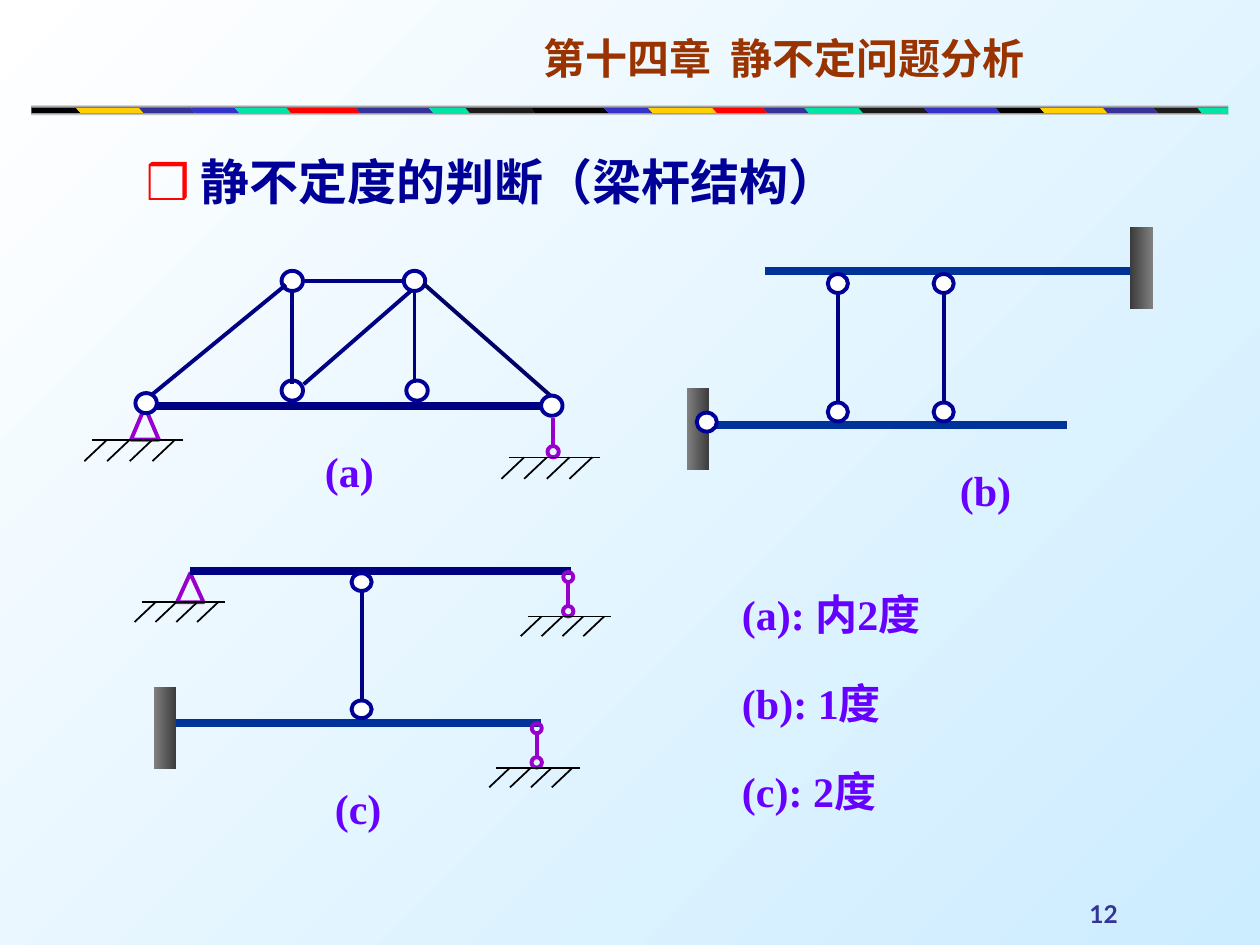
from lxml import etree
from pptx import Presentation
from pptx import util as u
from pptx.dml.color import RGBColor
from pptx.enum import shapes, text
from pptx.oxml.ns import qn

COLS, ROWS = 100, 75
CELL = u.Inches(10) // COLS  # one square grid cell

CJK, LATIN = "Noto Sans CJK SC", "Times New Roman"
NAVY, JOINT, BEAM, INDIGO = "000082", "000099", "003399", "333399"
PURPLE, LABEL, BLACK, WHITE = "9900CC", "6600FF", "000000", "FFFFFF"
THIN, MEDIUM, THICK = 1, 2.25, 4.5


def rgb(value):
    return RGBColor.from_string(value)


class Board:
    """Style and current slide; every length is in grid cells."""

    def __init__(self, prs):
        self.s = prs.slides.add_slide(prs.slide_layouts[5])

    def box(self, *cells):
        return [u.Emu(round(c * CELL)) for c in cells]

    def gradient(self, fill, start, end, angle):
        fill.gradient()
        fill.gradient_angle = angle
        for stop, colour in zip(fill.gradient_stops, (start, end)):
            stop.color.rgb = rgb(colour)

    def finish(self, sp, fill=None, line=None):
        sp.shadow.inherit = False
        if isinstance(fill, tuple):
            self.gradient(sp.fill, *fill)
        elif fill:
            sp.fill.solid()
            sp.fill.fore_color.rgb = rgb(fill)
        else:
            sp.fill.background()
        if line:
            sp.line.color.rgb = rgb(line)
            sp.line.width = u.Pt(MEDIUM)
        else:
            sp.line.fill.background()

    def shape(self, kind, x, y, w, h, fill=None, line=None):
        sp = self.s.shapes.add_shape(kind, *self.box(x, y, w, h))
        self.finish(sp, fill, line)

    def polygon(self, points, fill):
        first, *rest = [self.box(*pt) for pt in points]
        fb = self.s.shapes.build_freeform(*first, scale=1.0)
        fb.add_line_segments(rest, close=True)
        self.finish(fb.convert_to_shape(), fill)

    def line(self, x1, y1, x2, y2, colour=NAVY, width=MEDIUM):
        c = self.s.shapes.add_connector(
            shapes.MSO_CONNECTOR.STRAIGHT, *self.box(x1, y1, x2, y2))
        c.line.color.rgb = rgb(colour)
        c.line.width = u.Pt(width)
        etree.SubElement(c._element.spPr, qn("a:effectLst"))

    def add_runs(self, sp, runs, align=text.PP_ALIGN.LEFT, anchor=text.MSO_ANCHOR.TOP):
        tf = sp.text_frame
        tf.word_wrap = True
        tf.auto_size = text.MSO_AUTO_SIZE.NONE
        tf.vertical_anchor = anchor
        p = tf.paragraphs[0]
        p.alignment = align
        for words, size, font, colour, *spacing in runs:
            r = p.add_run()
            r.text = words
            r.font.size, r.font.bold, r.font.name = u.Pt(size), True, font
            r.font.color.rgb = rgb(colour)
            rpr = r._r.get_or_add_rPr()
            etree.SubElement(rpr, qn("a:ea")).set("typeface", CJK)
            if spacing:
                rpr.set("spc", str(spacing[0]))

    def text(self, x, y, w, h, runs, **layout):
        self.add_runs(self.s.shapes.add_textbox(*self.box(x, y, w, h)), runs, **layout)

    def label(self, x, y, words, w=8.7):
        self.text(x, y, w, 5, [(words, 24, LATIN, LABEL)])

    def title(self, x, y, w, h, runs):
        sp = self.s.shapes.title
        sp.left, sp.top, sp.width, sp.height = self.box(x, y, w, h)
        self.add_runs(sp, runs)

    # Structural symbols
    def joint(self, cx, cy, w=1.6, h=1.5, fill=WHITE, line=JOINT):
        self.shape(shapes.MSO_SHAPE.OVAL, cx - w / 2, cy - h / 2, w, h, fill, line)

    def wall(self, x, y, shades=("3B3B3B", "808080")):
        self.shape(shapes.MSO_SHAPE.RECTANGLE, x, y, 1.8, 6.5, (*shades, 180))

    def ground(self, x, y, scale):
        self.line(x, y, x + 7.2 * scale, y, BLACK, THIN)
        step = 1.8 * scale
        for i in range(4):
            top = x + 1.2 * scale + i * step
            self.line(top, y, top - step, y + 1.7 * scale, BLACK, THIN)

    def pin(self, cx, y, w, h, scale):
        self.shape(shapes.MSO_SHAPE.ISOSCELES_TRIANGLE, cx - w / 2, y, w, h, line=PURPLE)
        self.ground(cx - 4.2 * scale, y + h, scale)

    def roller(self, cx, y, length, scale):
        d = 0.9 * scale
        self.line(cx, y, cx, y + length, PURPLE)
        self.joint(cx, y + length + d / 2, d, d, None, PURPLE)
        self.ground(cx - 3.5 * scale, y + length + d, scale)


def rope(b):
    """Coloured strip under the title, between two grey bars."""
    green, red, blue, gold, dark = "00E4A8", "FF0000", "3333CC", "FFCF01", "1C1C1C"
    bands = [(6.2, BLACK), (11.2, gold), (15.3, INDIGO), (18.8, blue), (22.9, green),
             (28.4, red), (34.2, INDIGO), (37.1, green), (42.3, dark), (48.1, BLACK),
             (51.6, blue), (56.7, gold), (60.7, red), (64, INDIGO), (68.3, green),
             (73.5, dark), (79.2, blue), (82.7, BLACK), (87.7, gold), (91.7, INDIGO),
             (95.2, dark), (97.5, green)]
    start, end, top, bottom, slant = 2.5, 97.5, 8.4, 9.1, 0.3
    left = start
    for right, colour in bands:
        a = 0 if left == start else slant
        z = 0 if right == end else slant
        b.polygon([(left - a, top), (right - z, top), (right + z, bottom),
                   (left + a, bottom)], colour)
        left = right
    for y, shades in ((8.3, (WHITE, "767676")), (8.95, ("767676", WHITE))):
        b.shape(shapes.MSO_SHAPE.RECTANGLE, start, y, end - start, 0.25, (*shades, 270))


def truss(b):
    b.roller(43.9, 33.2, 2.2, 1)
    b.pin(11.5, 32.3, 2.2, 2.6, 1)
    b.line(11.5, 32.2, 44.1, 32.2, NAVY, THICK)
    for cx, cy in ((23.2, 31), (33.1, 31), (23.2, 22.3), (32.9, 22.3)):
        b.joint(cx, cy, 1.7, 1.6)
    for bar in ((11.6, 31.7, 22.7, 22.6), (23.2, 23.1, 23.2, 30.5),
                (32.9, 23, 32.9, 30.4), (24.2, 22.3, 31.9, 22.3),
                (33.6, 22.5, 43.8, 31.5, "000064"), (24.1, 30.5, 32.6, 23.1)):
        b.line(*bar)
    for cx, cy in ((11.6, 32), (43.8, 32.2)):
        b.joint(cx, cy, 1.7, 1.6)
    b.label(24.8, 34.9, "(a)")


def twin_beams(b):
    b.line(55.5, 33.7, 84.7, 33.7, BEAM, THICK)
    b.wall(54.5, 30.8)
    b.line(89.9, 21.5, 60.7, 21.5, BEAM, THICK)
    b.wall(89.7, 18, ("808080", "3B3B3B"))
    for cx in (66.5, 74.9):
        b.joint(cx, 22.5)
        b.joint(cx, 32.7)
        b.line(cx, 23.2, cx, 31.9)
    b.joint(56.1, 33.5)
    b.label(75.2, 36.4, "(b)")


def linked_beams(b):
    scale = 0.92
    b.roller(45.1, 46.2, 1.9, scale)
    b.pin(15.1, 45.5, 2.1, 2.3, scale)
    b.line(15.1, 45.3, 45.3, 45.3, NAVY, THICK)
    b.line(13.8, 57.4, 42.9, 57.4, BEAM, THICK)
    b.wall(12.2, 54.5)
    b.roller(42.6, 58.2, 1.9, scale)
    for cx, cy in ((45.1, 45.8), (42.6, 57.8)):
        b.joint(cx, cy, 0.8, 0.8, None, PURPLE)
    for cy in (56.3, 46.2):
        b.joint(28.7, cy, 1.6, 1.4)
    b.line(28.7, 47, 28.7, 55.6)
    b.label(25.6, 61.6, "(c)")


def main():
    prs = Presentation()
    prs.slide_width, prs.slide_height = COLS * CELL, ROWS * CELL
    b = Board(prs)
    b.gradient(b.s.background.fill, "CCECFF", WHITE, 135)

    # Heading and strip
    brown = "993300"
    b.title(42.1, 2.1, 47.3, 5, [("第十四章", 24, CJK, brown), (" ", 24, CJK, brown, 550),
                                 ("静不定问题分析", 24, CJK, brown)])
    rope(b)
    b.text(10.6, 11.5, 64.6, 5.7, [("❒ ", 28, "Arial", "FF0303"),
                                   ("静不定度的判断（梁杆结构）", 28, CJK, JOINT)])

    # Three structures
    truss(b)
    twin_beams(b)
    linked_beams(b)

    # Answers and page number
    for i, answer in enumerate(("(a): 内2度", "(b): 1度", "(c): 2度")):
        b.label(57.9, 46.2 + 7.05 * i, answer, 29.9)
    b.text(68.9, 69.2, 20.8, 5, [("12", 14, "Lato", INDIGO)],
           align=text.PP_ALIGN.RIGHT, anchor=text.MSO_ANCHOR.BOTTOM)

    prs.save("out.pptx")


if __name__ == "__main__":
    main()
